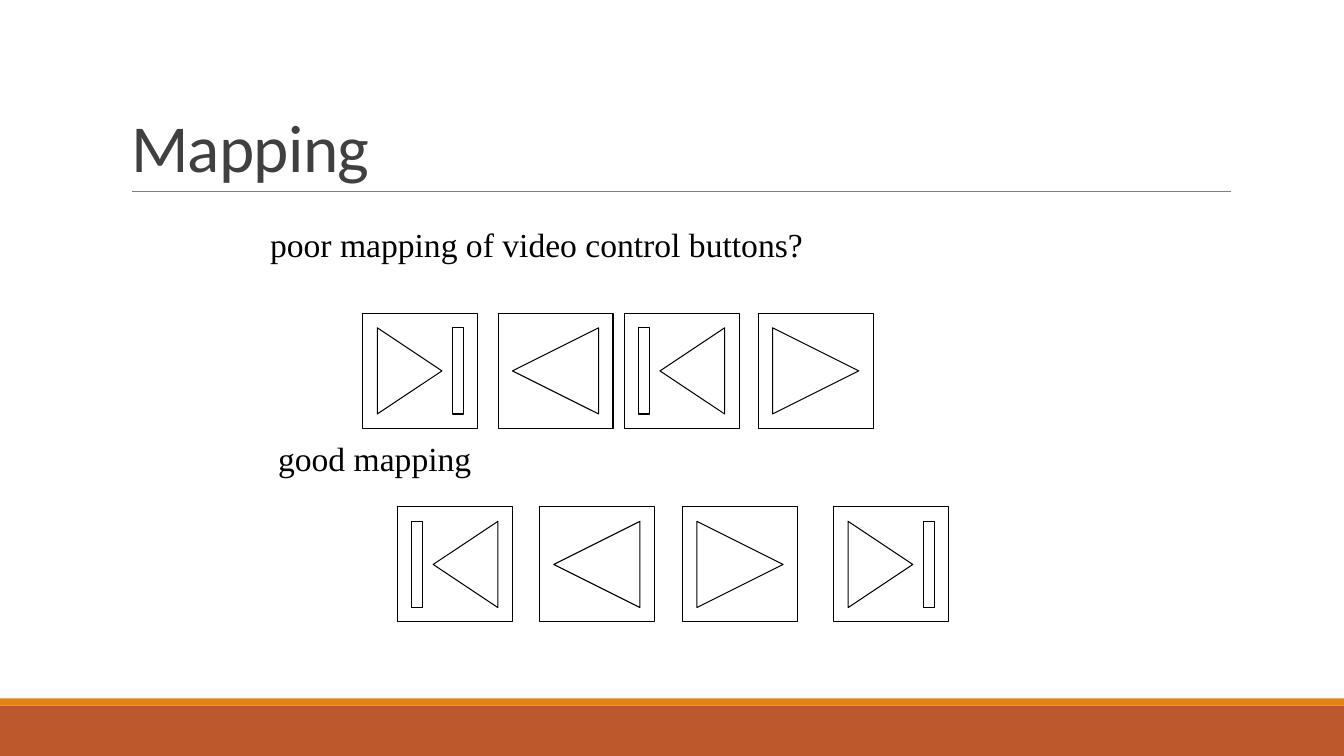
from dataclasses import dataclass

from lxml.etree import SubElement
from pptx import Presentation
from pptx.dml.color import RGBColor
from pptx.enum.shapes import MSO_CONNECTOR, MSO_SHAPE as Shape
from pptx.enum.text import MSO_ANCHOR, MSO_AUTO_SIZE, PP_ALIGN
from pptx.oxml.ns import qn
from pptx.util import Inches, Pt


@dataclass(frozen=True)
class Theme:
    title_font: str = "Calibri"
    label_font: str = "Times New Roman"
    title_size: int = 48
    label_size: int = 24
    title_color: RGBColor = RGBColor(0x40, 0x40, 0x40)
    ink: RGBColor = RGBColor(0, 0, 0)
    rule: RGBColor = RGBColor(0x80, 0x80, 0x80)
    band: RGBColor = RGBColor(0xBD, 0x58, 0x2C)
    stripe: RGBColor = RGBColor(0xE4, 0x83, 0x12)


theme = Theme()
COLUMNS, ROWS = 133.3, 75
BUTTON = 11.4


def grid(*cells):
    """Turn counts of grid cells, a tenth of an inch each, into lengths."""
    return [Inches(cell / 10) for cell in cells]


def add_span(para, text, font, size, color):
    span = para.add_run()
    span.text = text
    span.font.name = font
    span.font.size = Pt(size)
    span.font.color.rgb = color
    return span


deck = Presentation()
deck.slide_width, deck.slide_height = grid(COLUMNS, ROWS)
page = deck.slides.add_slide(deck.slide_layouts[5])

# Footer bands and title rule
for top, height, color in ((70, 5, theme.band), (69.3, 0.7, theme.stripe)):
    band = page.shapes.add_shape(Shape.RECTANGLE, *grid(0, top, COLUMNS, height))
    band.shadow.inherit = False
    band.fill.solid()
    band.fill.fore_color.rgb = color
    band.line.fill.background()

rule = page.shapes.add_connector(MSO_CONNECTOR.STRAIGHT, *grid(13.1, 19, 122.1, 19))
rule.line.color.rgb = theme.rule
rule.line.width = Pt(0.5)
SubElement(rule._element.spPr, qn("a:effectLst"))

# Title
title = page.shapes.title
title.left, title.top, title.width, title.height = grid(12, 3.1, 110, 15.9)
title.text_frame.vertical_anchor = MSO_ANCHOR.BOTTOM
title.text_frame.auto_size = MSO_AUTO_SIZE.NONE
para = title.text_frame.paragraphs[0]
para.alignment = PP_ALIGN.LEFT
para.line_spacing = 0.85
span = add_span(para, "Mapping", theme.title_font, theme.title_size, theme.title_color)
span.font._element.set("spc", "-50")

# Each mapping: label with its box, then the row of buttons from left to right
to_start, back = Shape.ACTION_BUTTON_BEGINNING, Shape.ACTION_BUTTON_BACK_OR_PREVIOUS
forward, to_end = Shape.ACTION_BUTTON_FORWARD_OR_NEXT, Shape.ACTION_BUTTON_END
mappings = (
    ("poor mapping of video control buttons?", (25.8, 21.7, 81.7, 6.3), 31.1,
     ((to_end, 36), (back, 49.4), (to_start, 61.9), (forward, 75.2))),
    ("good mapping", (26.6, 43, 52, 6.3), 50.3,
     ((to_start, 39.4), (back, 53.5), (forward, 67.7), (to_end, 82.7))),
)
for label, place, button_top, buttons in mappings:
    for kind, left in buttons:
        button = page.shapes.add_shape(kind, *grid(left, button_top, BUTTON, BUTTON))
        button.shadow.inherit = False
        button.fill.background()
        button.line.color.rgb = theme.ink
        button.line.width = Pt(0.75)

    box = page.shapes.add_textbox(*grid(*place))
    box.text_frame.word_wrap = True
    add_span(box.text_frame.paragraphs[0], label,
             theme.label_font, theme.label_size, theme.ink)

deck.save("out.pptx")
